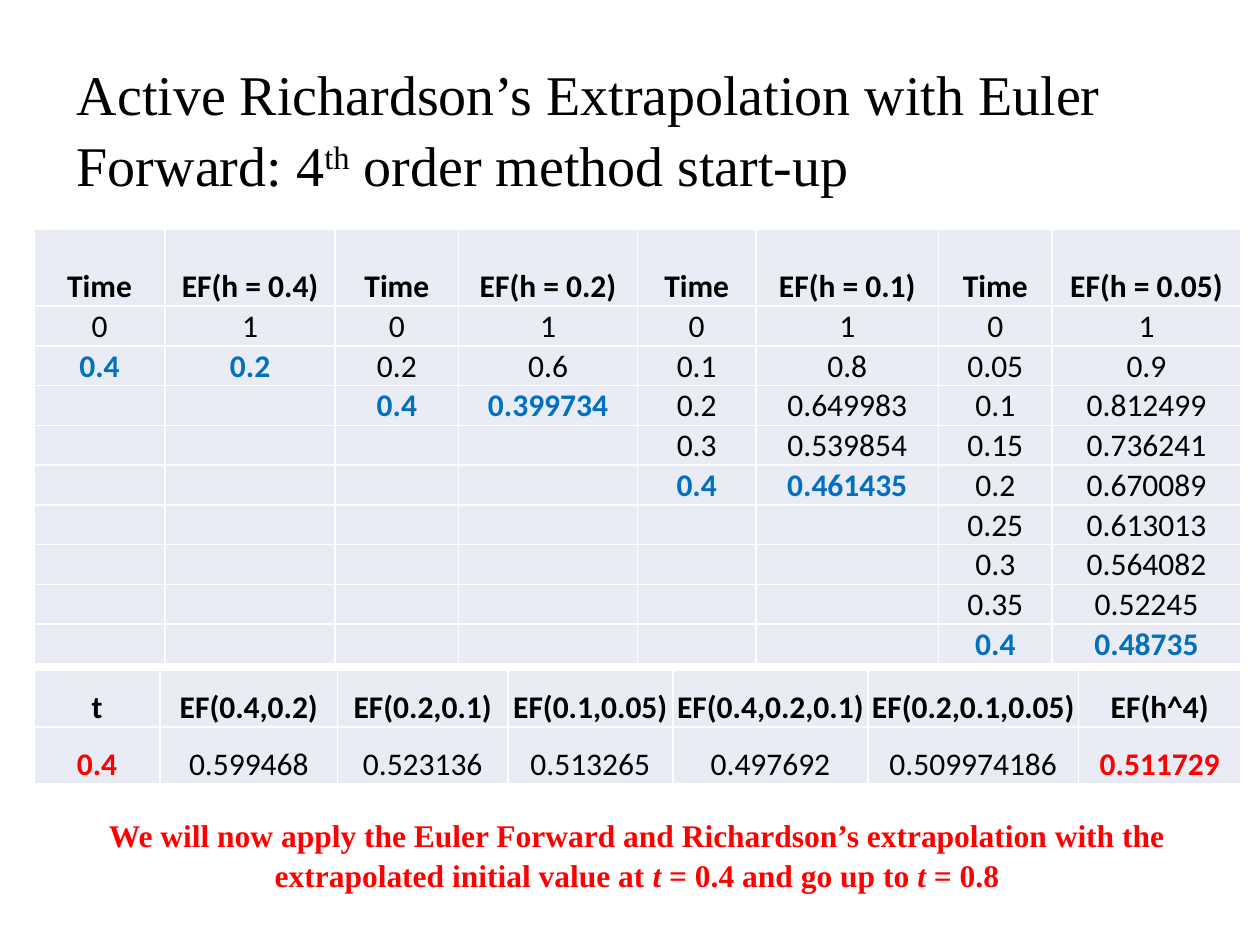
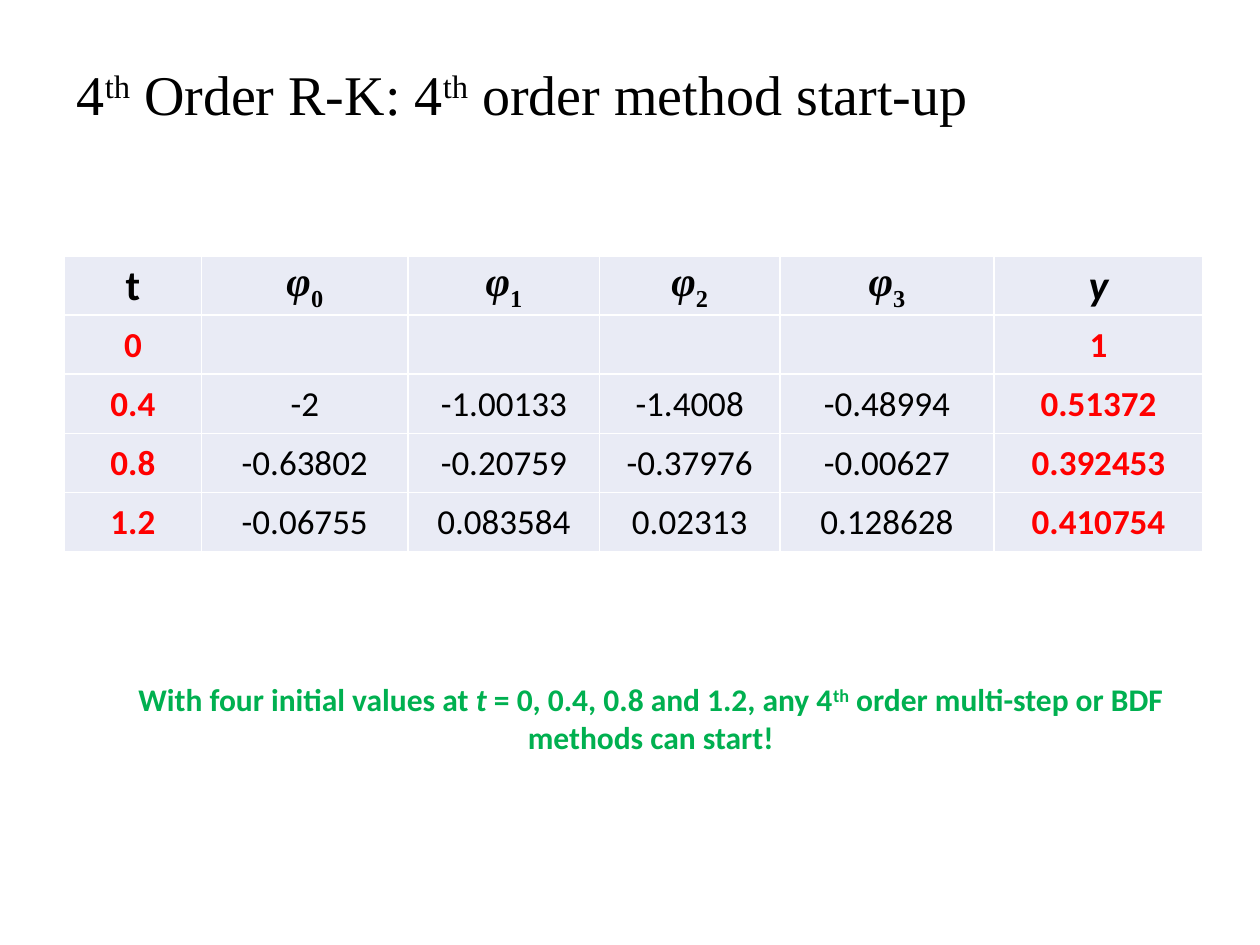
"""Builds two slides on start-up values for fourth-order multi-step methods."""
from lxml import etree
from pptx import Presentation
from pptx import util as u
from pptx.dml.color import RGBColor
from pptx.enum import text
from pptx.oxml.ns import qn

BLACK = RGBColor(0x00, 0x00, 0x00)
RED = RGBColor(0xFF, 0x00, 0x00)
BLUE = RGBColor(0x00, 0x70, 0xC0)
GREEN = RGBColor(0x00, 0xB0, 0x50)
CELL_FILL = RGBColor(0xE9, 0xEB, 0xF5)
BORDER = RGBColor(0xFF, 0xFF, 0xFF)
SERIF, SANS = "Times New Roman", "Calibri"

ITALIC = {"italic": True}
RAISED = {"baseline": 30}
LOWERED = {"baseline": -25}

EULER_RUNS = {
    0.4: ["1", "0.2"],
    0.2: ["1", "0.6", "0.399734"],
    0.1: ["1", "0.8", "0.649983", "0.539854", "0.461435"],
    0.05: ["1", "0.9", "0.812499", "0.736241", "0.670089",
           "0.613013", "0.564082", "0.52245", "0.48735"],
}
EXTRAPOLATED = {
    "t": "0.4", "EF(0.4,0.2)": "0.599468", "EF(0.2,0.1)": "0.523136",
    "EF(0.1,0.05)": "0.513265", "EF(0.4,0.2,0.1)": "0.497692",
    "EF(0.2,0.1,0.05)": "0.509974186", "EF(h^4)": "0.511729",
}
RUNGE_KUTTA = [
    ["0", "", "", "", "", "1"],
    ["0.4", "-2", "-1.00133", "-1.4008", "-0.48994", "0.51372"],
    ["0.8", "-0.63802", "-0.20759", "-0.37976", "-0.00627", "0.392453"],
    ["1.2", "-0.06755", "0.083584", "0.02313", "0.128628", "0.410754"],
]


def add_span(para, words, size=18, font=SANS, color=BLACK, bold=False,
             italic=False, baseline=0):
    """Add one formatted run to a paragraph."""
    span = para.add_run()
    span.text = words
    span.font.size = u.Pt(size)
    span.font.name = font
    span.font.color.rgb = color
    span.font.bold = bold
    span.font.italic = italic
    if baseline:
        span.font._element.set("baseline", str(baseline * 1000))


class SlideBuilder:
    """Holds the shared style and the current slide."""

    def __init__(self):
        self.deck = Presentation()
        self.deck.slide_width, self.deck.slide_height = u.Inches(10), u.Inches(7.5)
        self.page = None

    def fill_para(self, para, content, **style):
        """Set a string, or a list of strings and (text, format) pairs."""
        for piece in [content] if isinstance(content, str) else content:
            words, extra = (piece, {}) if isinstance(piece, str) else piece
            if words:
                add_span(para, words, **{**style, **extra})

    def fill_box(self, box, content, align, **style):
        """Set one wrapped paragraph at the top of a text shape."""
        frame = box.text_frame
        frame.word_wrap = True
        frame.auto_size = text.MSO_AUTO_SIZE.NONE
        frame.vertical_anchor = text.MSO_ANCHOR.TOP
        para = frame.paragraphs[0]
        para.alignment = align
        if style["font"] == SERIF:
            para.line_spacing = 1.06
        self.fill_para(para, content, **style)

    def start_page(self, title, height):
        """Start a slide with its title."""
        self.page = self.deck.slides.add_slide(self.deck.slide_layouts[5])
        box = self.page.shapes.title
        box.left, box.top = u.Inches(0.51), u.Inches(0.39)
        box.width, box.height = u.Inches(8.97), u.Inches(height)
        self.fill_box(box, title, text.PP_ALIGN.LEFT, size=32, font=SERIF)

    def caption(self, left, top, content, **style):
        """Add a bold centred remark."""
        box = self.page.shapes.add_textbox(
            u.Inches(left), u.Inches(top), u.Inches(8.65), u.Inches(0.71))
        self.fill_box(box, content, text.PP_ALIGN.CENTER, bold=True, **style)

    def cell_frame(self, cell, anchor):
        """Set the fill, borders and margins of a cell."""
        props = cell._tc.get_or_add_tcPr()
        for side in ("lnL", "lnR", "lnT", "lnB"):
            line = etree.SubElement(props, qn(f"a:{side}"), w=str(u.Pt(1)))
            paint = etree.SubElement(line, qn("a:solidFill"))
            etree.SubElement(paint, qn("a:srgbClr"), val=str(BORDER))
        cell.fill.solid()
        cell.fill.fore_color.rgb = CELL_FILL
        cell.margin_left = cell.margin_right = cell.margin_top = u.Inches(0.01)
        cell.margin_bottom = 0
        cell.vertical_anchor = anchor

    def table(self, left, top, widths, heights, rows, style_of, anchor):
        """Add a table; style_of(row, column) gives the format of a cell."""
        grid = self.page.shapes.add_table(
            len(rows), len(widths), u.Inches(left), u.Inches(top),
            u.Inches(sum(widths)), u.Inches(sum(heights))).table
        grid.first_row = grid.horz_banding = False
        for column, width in zip(grid.columns, widths):
            column.width = u.Inches(width)
        for r, (height, values) in enumerate(zip(heights, rows)):
            grid.rows[r].height = u.Inches(height)
            for c, value in enumerate(values):
                cell = grid.cell(r, c)
                self.cell_frame(cell, anchor)
                para = cell.text_frame.paragraphs[0]
                para.alignment = text.PP_ALIGN.CENTER
                self.fill_para(para, value, **style_of(r, c))


def euler_rows():
    """Lay the runs side by side as pairs of time and value columns."""
    header = [label for h in EULER_RUNS for label in ("Time", f"EF(h = {h})")]
    body = [[entry for h, values in EULER_RUNS.items()
             for entry in ((f"{i * h:g}", values[i]) if i < len(values) else ("", ""))]
            for i in range(max(map(len, EULER_RUNS.values())))]
    return [header] + body


def euler_style(row, column):
    """Mark the header and the last step of each run."""
    last = row == len(list(EULER_RUNS.values())[column // 2])
    return {"bold": row == 0 or last, "color": BLUE if last else BLACK}


def extrapolated_style(row, column):
    """Mark the header, the time and the final value."""
    key = row == 1 and column in (0, len(EXTRAPOLATED) - 1)
    return {"bold": row == 0 or key, "color": RED if key else BLACK}


def runge_kutta_style(row, column):
    """Mark the header, the times and the solution."""
    if row == 0:
        return {"size": 24, "bold": True}
    key = column in (0, 5)
    return {"size": 20, "bold": key, "color": RED if key else BLACK}


def main():
    """Build and save both slides."""
    builder = SlideBuilder()
    th = ("th", RAISED)
    t = ("t", ITALIC)

    builder.start_page(["Active Richardson’s Extrapolation with Euler Forward: 4",
                        th, " order method start-up"], 1.18)
    builder.table(0.27, 1.82, [1.04, 1.35, 0.98, 1.42, 0.94, 1.45, 0.9, 1.5],
                  [0.61] + [0.31] * 9, euler_rows(), euler_style,
                  text.MSO_ANCHOR.BOTTOM)
    builder.table(0.27, 5.32, [1, 1.41, 1.35, 1.31, 1.55, 1.67, 1.29], [0.45] * 2,
                  [list(EXTRAPOLATED), list(EXTRAPOLATED.values())],
                  extrapolated_style, text.MSO_ANCHOR.BOTTOM)
    builder.caption(0.73, 6.41, [
        "We will now apply the Euler Forward and Richardson’s extrapolation "
        "with the extrapolated initial value at ", t, " = 0.4 and go up to ",
        t, " = 0.8"], font=SERIF, color=RED)

    builder.start_page(["4", th, " Order R-K: 4", th, " order method start-up"], 0.64)
    builder.caption(0.84, 5.35, [
        "With four initial values at ", t, " = 0, 0.4, 0.8 and 1.2, any 4", th,
        " order multi-step or BDF methods can start!"], font=SANS, color=GREEN)
    slopes = [[("φ", {"font": SERIF, **ITALIC}), (str(i), {"font": SERIF, **LOWERED})]
              for i in range(4)]
    builder.table(0.51, 2.03, [1.09, 1.64, 1.52, 1.43, 1.7, 1.66], [0.47] * 5,
                  [["t", *slopes, [("y", ITALIC)]]] + RUNGE_KUTTA,
                  runge_kutta_style, text.MSO_ANCHOR.MIDDLE)

    builder.deck.save("out.pptx")


if __name__ == "__main__":
    main()
